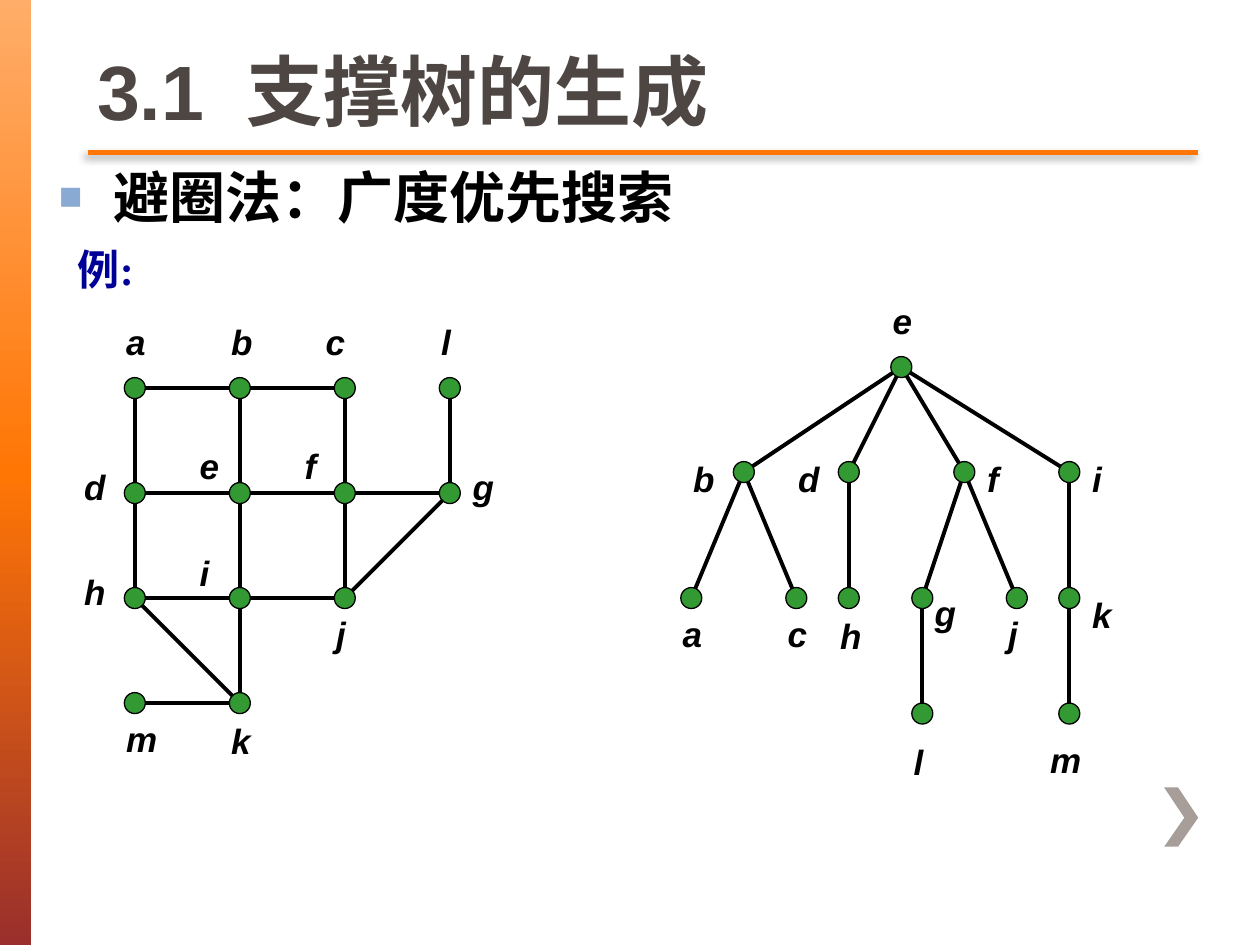
from copy import deepcopy
from dataclasses import dataclass

from lxml import etree
from pptx import Presentation
from pptx import util as u
from pptx.dml.color import RGBColor as Rgb
from pptx.enum import shapes, text
from pptx.oxml.ns import qn


@dataclass
class Theme:
    """Colours and type sizes of the slide."""
    title: str = "4D4643"
    ink: str = "000000"
    note: str = "000099"
    node: str = "339933"
    rule: str = "FF7605"
    mark: str = "89AAD3"
    arrow: str = "A79D99"
    band: tuple = ("FFAD69", "FF7605", "9A2F2C")
    big: int = 44
    mid: int = 32
    small: int = 24
    tag: int = 20


def write(shape, words, face, size, color, italic=False):
    """Put one styled paragraph into a shape and return it."""
    frame = shape.text_frame
    frame.word_wrap = True
    para = frame.paragraphs[0]
    for word in words:
        para.add_run().text = word
    para.alignment = text.PP_ALIGN.LEFT
    font = para.font
    font.name, font.size = face, u.Pt(size)
    font.bold, font.italic = True, italic
    font.color.rgb = Rgb.from_string(color)
    return para


def link(tree, start, end, color, width):
    """Draw a straight line without shadow; return its effect list."""
    line = tree.add_connector(shapes.MSO_CONNECTOR.STRAIGHT, *start, *end)
    line.line.color.rgb = Rgb.from_string(color)
    line.line.width = u.Pt(width)
    return etree.SubElement(line._element.spPr, qn("a:effectLst"))


look = Theme()
deck = Presentation()
deck.slide_width, deck.slide_height = u.Inches(10), u.Inches(7.5)
slide = deck.slides.add_slide(deck.slide_layouts[5])
tree = slide.shapes
inch = u.Inches

# Side band with three colour stops
band = tree.add_shape(shapes.MSO_SHAPE.RECTANGLE, 0, 0, inch(0.25), deck.slide_height)
band.shadow.inherit = False
band.line.fill.background()
band.fill.gradient()
band.fill.gradient_angle = 270
stops = band._element.spPr.find(qn("a:gradFill")).find(qn("a:gsLst"))
stops.insert(1, deepcopy(stops[0]))
for stop, share, color in zip(band.fill.gradient_stops, (0, 0.5, 1), look.band):
    stop.position = share
    stop.color.rgb = Rgb.from_string(color)

# Corner arrow
pen = tree.build_freeform(inch(9.35), inch(6.25))
pen.add_line_segments([(inch(x), inch(y)) for x, y in
                       ((9.24, 6.25), (9.4, 6.49), (9.24, 6.72), (9.35, 6.72), (9.51, 6.49))])
arrow = pen.convert_to_shape()
arrow.shadow.inherit = False
arrow.fill.solid()
arrow.fill.fore_color.rgb = Rgb.from_string(look.arrow)
arrow.line.fill.background()

# Rule under the title, with a soft shadow
glow = link(tree, (inch(0.7), inch(1.21)), (inch(9.51), inch(1.21)), look.rule, 2.5)
shade = etree.SubElement(glow, qn("a:outerShdw"), blurRad=str(u.Pt(5)),
                         dist=str(u.Pt(3)), dir="8100000", rotWithShape="0")
black = etree.SubElement(shade, qn("a:srgbClr"), val="000000")
etree.SubElement(black, qn("a:alpha"), val="45000")

# Title and the two lines of text
title = tree.title
title.left, title.top, title.width, title.height = map(inch, (0.67, 0, 8.81, 1.13))
title.text_frame.vertical_anchor = text.MSO_ANCHOR.BOTTOM
head = write(title, ("3.1", " ", "支撑树的生成"), "Arial", look.big, look.title)
head.runs[1]._r.get_or_add_rPr().set("spc", "1200")

note = tree.add_textbox(*map(inch, (0.52, 1.88, 8.5, 0.5)))
write(note, ("例:",), "Times New Roman", look.small, look.note)

topic = tree.add_textbox(*map(inch, (0.37, 1.24, 6.86, 0.63)))
item = write(topic, ("避圈法：广度优先搜索",), "Times New Roman", look.mid, look.ink)
props = item._p.get_or_add_pPr()
props.set("marL", str(inch(0.43)))
props.set("indent", str(-inch(0.43)))
marks = [etree.Element(qn("a:" + kind), **{key: val}) for kind, key, val in
         (("buClr", "val", look.mark), ("buSzPct", "val", "70000"),
          ("buFont", "typeface", "Arial"), ("buChar", "char", "■"))]
etree.SubElement(marks[0], qn("a:srgbClr"), val=marks[0].attrib.pop("val"))
for spot, mark in enumerate(marks):
    props.insert(spot, mark)

# Grid of 1/12 inch cells; each node: column, row, then label shift in cells
cell, left, top = inch(1) / 12, inch(1.07), inch(3.08)
graph = {
    "a": (0, 0, -2, -7), "b": (10, 0, -2, -7), "c": (20, 0, -3, -7), "l": (30, 0, -2, -7),
    "d": (0, 10, -6, -3.2), "e": (10, 10, -5, -5.2), "f": (20, 10, -5, -5.2),
    "g": (30, 10, 1, -3.2), "h": (0, 20, -6, -3.2), "i": (10, 20, -5, -5),
    "j": (20, 20, -2, 0.8), "m": (0, 30, -2, 0.8), "k": (10, 30, -2, 1),
}
span = {
    "e": (73, -2, -2, -7), "b": (58, 8, -6, -2), "d": (68, 8, -6, -2),
    "f": (79, 8, 1, -2), "i": (89, 8, 1, -2), "a": (53, 20, -2, 0.8),
    "c": (63, 20, -2, 0.8), "h": (68, 20, -2, 1), "g": (75, 20, 0, -1.2),
    "j": (84, 20, -2, 0.8), "k": (89, 20, 1, -1), "l": (75, 31, -2, 2),
    "m": (89, 31, -3, 1.8),
}
plans = ((graph, "ab bc fg ah df hj bi cj jg lg ik mk hk"),
         (span, "eb ed ef ei ba bc dh fg fj ik km gl"))
size = round(cell * 2)

for nodes, edges in plans:
    spots = {name: (round(left + col * cell), round(top + row * cell))
             for name, (col, row, _, _) in nodes.items()}
    for start, end in edges.split():
        link(tree, spots[start], spots[end], look.ink, 2.25)
    for name, (x, y) in spots.items():
        right, down = nodes[name][2:]
        tag = tree.add_textbox(round(x + right * cell), round(y + down * cell),
                               inch(0.5), inch(0.43))
        write(tag, (name,), "Arial", look.tag, look.ink, italic=True)
        dot = tree.add_shape(shapes.MSO_SHAPE.OVAL, x - size // 2, y - size // 2, size, size)
        dot.shadow.inherit = False
        dot.fill.solid()
        dot.fill.fore_color.rgb = Rgb.from_string(look.node)
        dot.line.color.rgb = Rgb.from_string(look.ink)
        dot.line.width = u.Pt(0.75)

deck.save("out.pptx")
